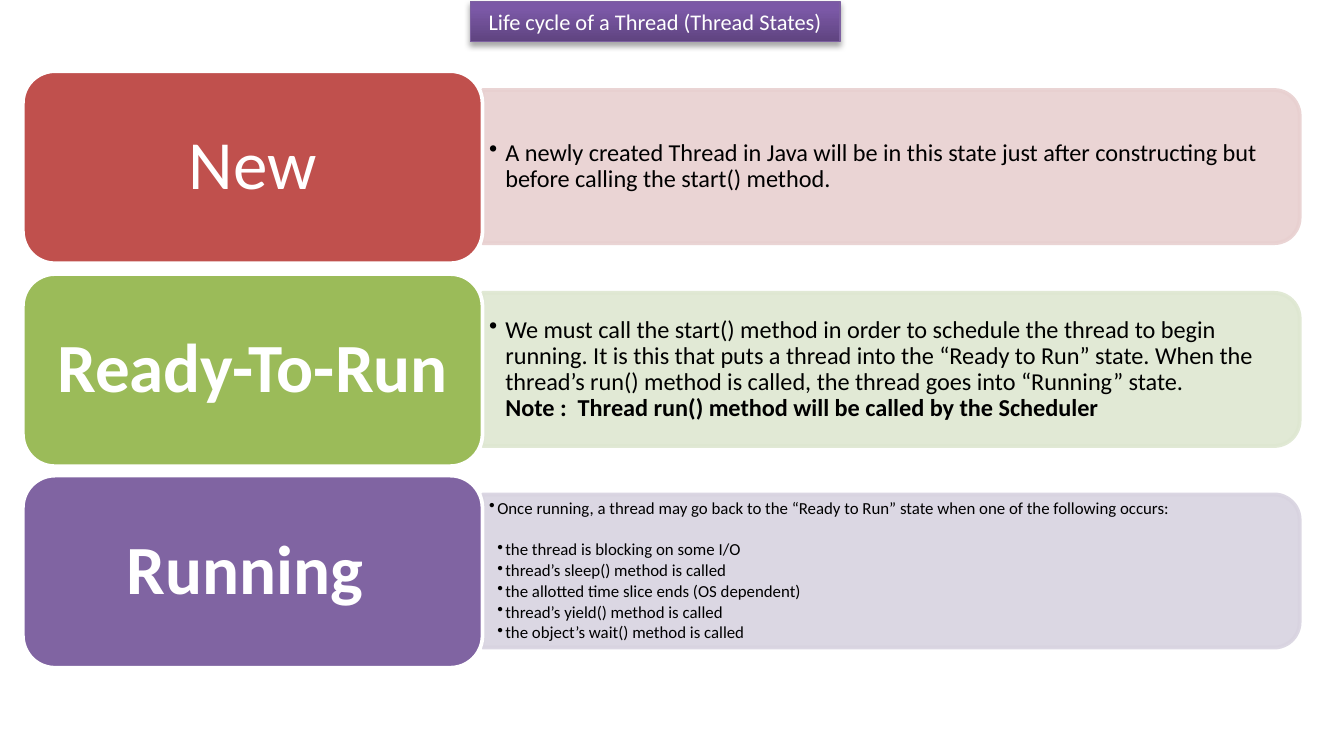
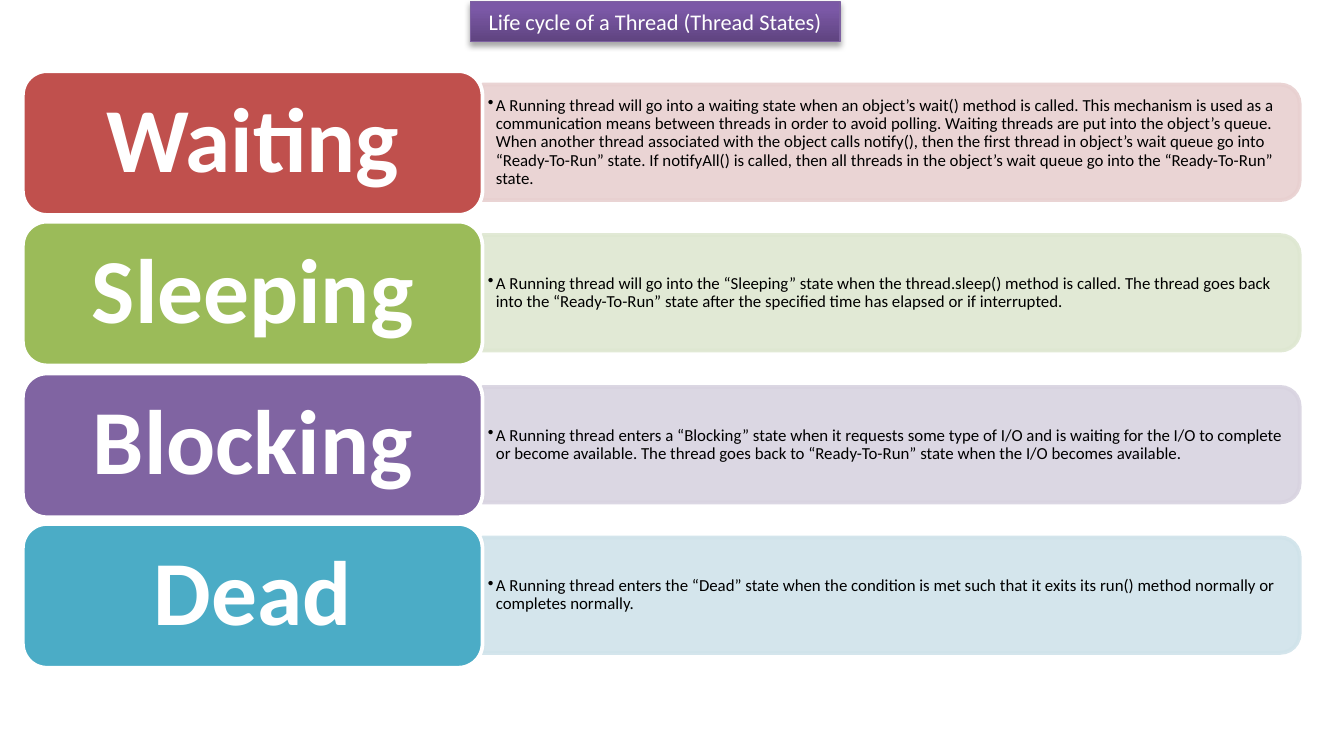
from collections import namedtuple
from lxml.etree import SubElement as Sub
from pptx import Presentation
from pptx.dml.color import RGBColor as Rgb
from pptx.enum.shapes import MSO_SHAPE as Form
from pptx.enum.text import MSO_ANCHOR as Anchor, PP_ALIGN as Align
from pptx.oxml.ns import qn
from pptx.util import Emu, Pt

SCALE = 9144
FONT = "Calibri"
COLORS = {
    "white": "FFFFFF", "black": "000000", "edge": "7D60A0",
    "dark": "5F4480", "mid": "7B58A6", "light": "7C57A8",
    "red": "C0504D", "green": "9BBB59", "purple": "8064A2", "blue": "4BACC6",
    "pale red": "E8D0D0", "pale green": "DEE7D1",
    "pale purple": "D8D3E0", "pale blue": "D0E3EA",
}
HUES = ["red", "green", "purple", "blue"]
TITLE = "Life cycle of a Thread (Thread States)"
TOP, SPAN = 53, 444
LEFT, SPLIT, WIDE = 17, 359, 608

State = namedtuple("State", "name size lines bold", defaults=[True])
Style = namedtuple("Style", "tall size pad inset gap")

FIRST = [
    State("New", 13, ["A newly created Thread in Java will be in this state just after "
                      "constructing but before calling the start() method."], False),
    State("Ready-To-Run", 13, [
        "We must call the start() method in order to schedule the thread to begin running. "
        "It is this that puts a thread into the “Ready to Run” state. When the thread’s "
        "run() method is called, the thread goes into “Running” state.\v"
        "Note :  Thread run() method will be called by the Scheduler"]),
    State("Running ", 9, [
        "Once running, a thread may go back to the “Ready to Run” state when one of the "
        "following occurs:",
        "the thread is blocking on some I/O",
        "thread’s sleep() method is called",
        "the allotted time slice ends (OS dependent)",
        "thread’s yield() method is called",
        "the object’s wait() method is called"]),
]
SECOND = [
    State("Waiting", 9, [
        "A Running thread will go into a waiting state when an object’s wait() method is "
        "called. This mechanism is used as a communication means between threads in order "
        "to avoid polling. Waiting threads are put into the object’s queue. When another "
        "thread associated with the object calls notify(), then the first thread in "
        "object’s wait queue go into “Ready-To-Run” state. If notifyAll() is called, then "
        "all threads in the object’s wait queue go into the “Ready-To-Run” state."]),
    State("Sleeping", 9, [
        "A Running thread will go into the “Sleeping” state when the thread.sleep() method "
        "is called. The thread goes back into the “Ready-To-Run” state after the specified "
        "time has elapsed or if interrupted."]),
    State("Blocking", 9, [
        "A Running thread enters a “Blocking” state when it requests some type of I/O and "
        "is waiting for the I/O to complete or become available. The thread goes back to "
        "“Ready-To-Run” state when the I/O becomes available."]),
    State("Dead", 9, [
        "A Running thread enters the “Dead” state when the condition is met such that it "
        "exits its run() method normally or completes normally."]),
]


def px(count):
    return Emu(count * SCALE)


def color(name):
    return Rgb.from_string(COLORS[name])


def add(parent, tag, **attrs):
    return Sub(parent, qn(tag), attrs)


def pad(frame, side, edge):
    frame.margin_left = frame.margin_right = px(side)
    frame.margin_top = frame.margin_bottom = px(edge)


def paint(para, size, hue, bold=False):
    for run in para.runs:
        font = run.font
        font.name, font.size, font.bold = FONT, Pt(size), bold
        font.color.rgb = color(hue)


def shape(slide, form, box, fill, line, width):
    item = slide.shapes.add_shape(form, *map(px, box))
    item.shadow.inherit = False
    item.fill.solid()
    item.fill.fore_color.rgb = color(fill)
    item.line.color.rgb = color(line)
    item.line.width = Pt(width)
    return item


def center(item, text, size, bold=False):
    para = item.text_frame.paragraphs[0]
    para.text = text
    para.alignment = Align.CENTER
    paint(para, size, "white", bold)
    return para


def title(slide):
    item = shape(slide, Form.RECTANGLE, (350, 1, 275, 30), "mid", "edge", 0.75)
    item.fill.gradient()
    item.fill.gradient_angle = 90
    props = item.element.spPr
    stops = props.find(".//" + qn("a:gsLst"))
    stops.clear()
    for spot, name in ((0, "dark"), (80, "mid"), (100, "light")):
        stop = add(stops, "a:gs", pos=str(spot * 1000))
        add(stop, "a:srgbClr", val=COLORS[name])
    glow = add(props.find(qn("a:effectLst")), "a:outerShdw", blurRad=str(Pt(3.1)),
               dist=str(Pt(1.8)), dir="5400000", rotWithShape="0")
    shade = add(glow, "a:srgbClr", val=COLORS["black"])
    add(shade, "a:alpha", val="35000")
    center(item, TITLE, 12)


def panel(slide, mid, tall, hue):
    pale = "pale " + hue
    box = (SPLIT + (WIDE - tall) // 2, mid - WIDE // 2, tall, WIDE)
    item = shape(slide, Form.ROUND_2_SAME_RECTANGLE, box, pale, pale, 2)
    item.rotation = 90
    for tint in item.element.spPr.iter(qn("a:srgbClr")):
        add(tint, "a:alpha", val="90000")


def bullet(para, left, hang):
    props = para._p.get_or_add_pPr()
    props.set("marL", str(px(left)))
    props.set("indent", str(-px(hang)))
    add(props, "a:buChar", char="•")


def detail(slide, mid, tall, state, style):
    high = tall - 2 * style.gap
    box = (SPLIT, mid - high // 2, WIDE - style.gap, high)
    frame = slide.shapes.add_textbox(*map(px, box)).text_frame
    frame.word_wrap = True
    frame.vertical_anchor = Anchor.MIDDLE
    pad(frame, *style.inset)
    frame.text = "\n".join(state.lines)
    hang = 12 if state.size > 9 else 6
    for spot, para in enumerate(frame.paragraphs):
        bullet(para, hang * 2 if spot else hang, hang)
        para.line_spacing = 0.9
        if spot:
            para.space_before = Pt(12.5 if spot == 1 else 1.35)
        paint(para, state.size, "black")
        for note in para.runs[1:]:
            note.font.bold = True


def label(slide, top, state, style, hue):
    box = (LEFT, top, SPLIT - LEFT, style.tall)
    item = shape(slide, Form.ROUNDED_RECTANGLE, box, hue, "white", 2)
    item.text_frame.word_wrap = True
    pad(item.text_frame, *style.pad)
    center(item, state.name, style.size, state.bold).line_spacing = 0.9


def page(deck, states, style):
    slide = deck.slides.add_slide(deck.slide_layouts[6])
    title(slide)
    step = (SPAN - style.tall) / (len(states) - 1)
    tall = round(style.tall * 0.8)
    for spot, (state, hue) in enumerate(zip(states, HUES)):
        top = round(TOP + spot * step)
        mid = top + style.tall // 2
        panel(slide, mid, tall, hue)
        detail(slide, mid, tall, state, style)
        label(slide, top, state, style, hue)


def main():
    deck = Presentation()
    deck.slide_width, deck.slide_height = px(1000), px(550)
    page(deck, FIRST, Style(143, 37, (15, 8), (5, 3), 6))
    page(deck, SECOND, Style(107, 49, (20, 10), (4, 2), 4))
    deck.save("out.pptx")


if __name__ == "__main__":
    main()
